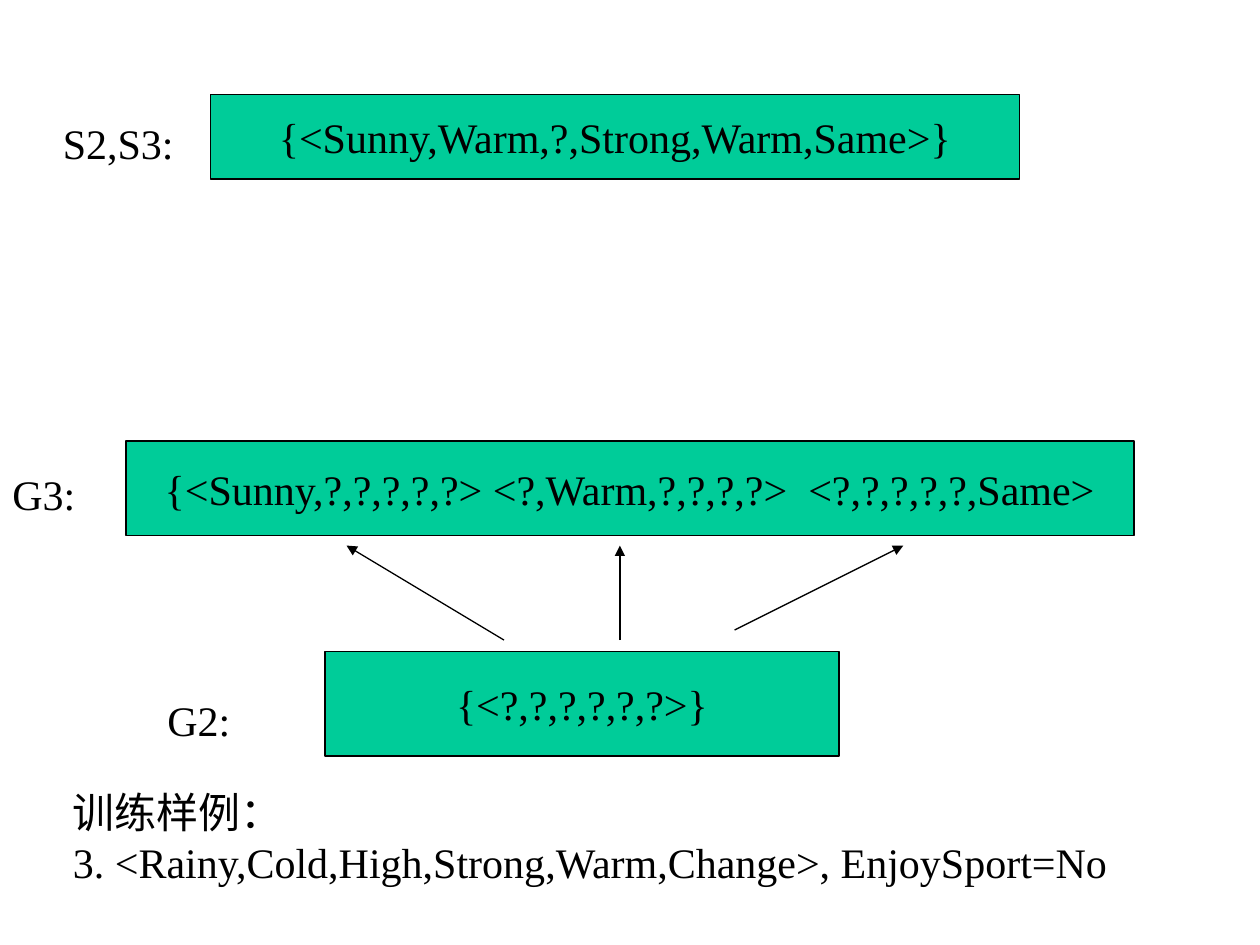
import pptx
import pptx.util
import pptx.dml.color
import pptx.enum.shapes
import pptx.enum.text
import pptx.oxml.ns
from lxml import etree

Inches, Pt = pptx.util.Inches, pptx.util.Pt
ANCHOR, ALIGN = pptx.enum.text.MSO_ANCHOR, pptx.enum.text.PP_ALIGN
AUTO = pptx.enum.text.MSO_AUTO_SIZE
COLORS = {"box": "00CC99", "ink": "000000"}
FONT = "Times New Roman"


def rgb(name):
    return pptx.dml.color.RGBColor.from_string(COLORS[name])


def write(tf, lines, align=ALIGN.LEFT):
    for i, line in enumerate(lines):
        p = tf.paragraphs[0] if i == 0 else tf.add_paragraph()
        p.alignment = align
        r = p.add_run()
        r.text = line
        r.font.size = Pt(24)
        r.font.name = FONT
        r.font.color.rgb = rgb("ink")


def add_text(s, box, lines, wrap):
    sp = s.shapes.add_textbox(*map(Inches, box))
    tf = sp.text_frame
    tf.word_wrap = wrap
    tf.auto_size = AUTO.SHAPE_TO_FIT_TEXT
    write(tf, lines)


def add_hypotheses(s, box, text, label, label_box):
    """A boundary set in its box; label_box is offset from the box's corner."""
    left, top, width, height = box
    sp = s.shapes.add_shape(
        pptx.enum.shapes.MSO_SHAPE.FLOWCHART_PROCESS, *map(Inches, box))
    sp.shadow.inherit = False
    sp.fill.solid()
    sp.fill.fore_color.rgb = rgb("box")
    sp.line.color.rgb = rgb("ink")
    sp.line.width = Pt(0.75)
    tf = sp.text_frame
    tf.word_wrap = False
    tf.vertical_anchor = ANCHOR.MIDDLE
    write(tf, [text], ALIGN.CENTER)

    dx, dy, label_width = label_box
    add_text(s, (left + dx, top + dy, label_width, 0.5), [label], False)


def add_arrows(s, box, arrows):
    """Arrows rising to the top of the box; each is start x, start y, end x."""
    left, top = box
    for x1, y1, x2 in arrows:
        c = s.shapes.add_connector(
            pptx.enum.shapes.MSO_CONNECTOR.STRAIGHT,
            Inches(left + x1), Inches(top + y1), Inches(left + x2), Inches(top))
        c.line.color.rgb = rgb("ink")
        c.line.width = Pt(0.75)
        qn = pptx.oxml.ns.qn
        etree.SubElement(c.line._get_or_add_ln(), qn("a:tailEnd"), type="triangle")
        etree.SubElement(c._element.spPr, qn("a:effectLst"))


def main():
    prs = pptx.Presentation()
    prs.slide_width, prs.slide_height = Inches(10), Inches(7.5)
    s = prs.slides.add_slide(prs.slide_layouts[6])

    # Specific boundary, then the two general boundaries
    add_hypotheses(s, (1.67, 0.75, 6.42, 0.67),
                   "{<Sunny,Warm,?,Strong,Warm,Same>}",
                   "S2,S3:", (-1.27, 0.13, 1.08))
    add_hypotheses(s, (1, 3.5, 8, 0.75),
                   "{<Sunny,?,?,?,?,?> <?,Warm,?,?,?,?>  <?,?,?,?,?,Same>",
                   "G3:", (-1, 0.17, 0.78))
    add_hypotheses(s, (2.58, 5.17, 4.08, 0.83), "{<?,?,?,?,?,?>}",
                   "G2:", (-1.35, 0.29, 0.7))

    # Specialisation from G2 up to G3
    add_arrows(s, (2.75, 4.33),
               [(1.25, 0.75, 0), (2.17, 0.75, 2.17), (3.08, 0.67, 4.42)])

    # Training example
    add_text(s, (0.48, 6.19, 9.18, 0.9),
             ["训练样例：", "3. <Rainy,Cold,High,Strong,Warm,Change>, EnjoySport=No"],
             True)

    prs.save("out.pptx")


if __name__ == "__main__":
    main()
